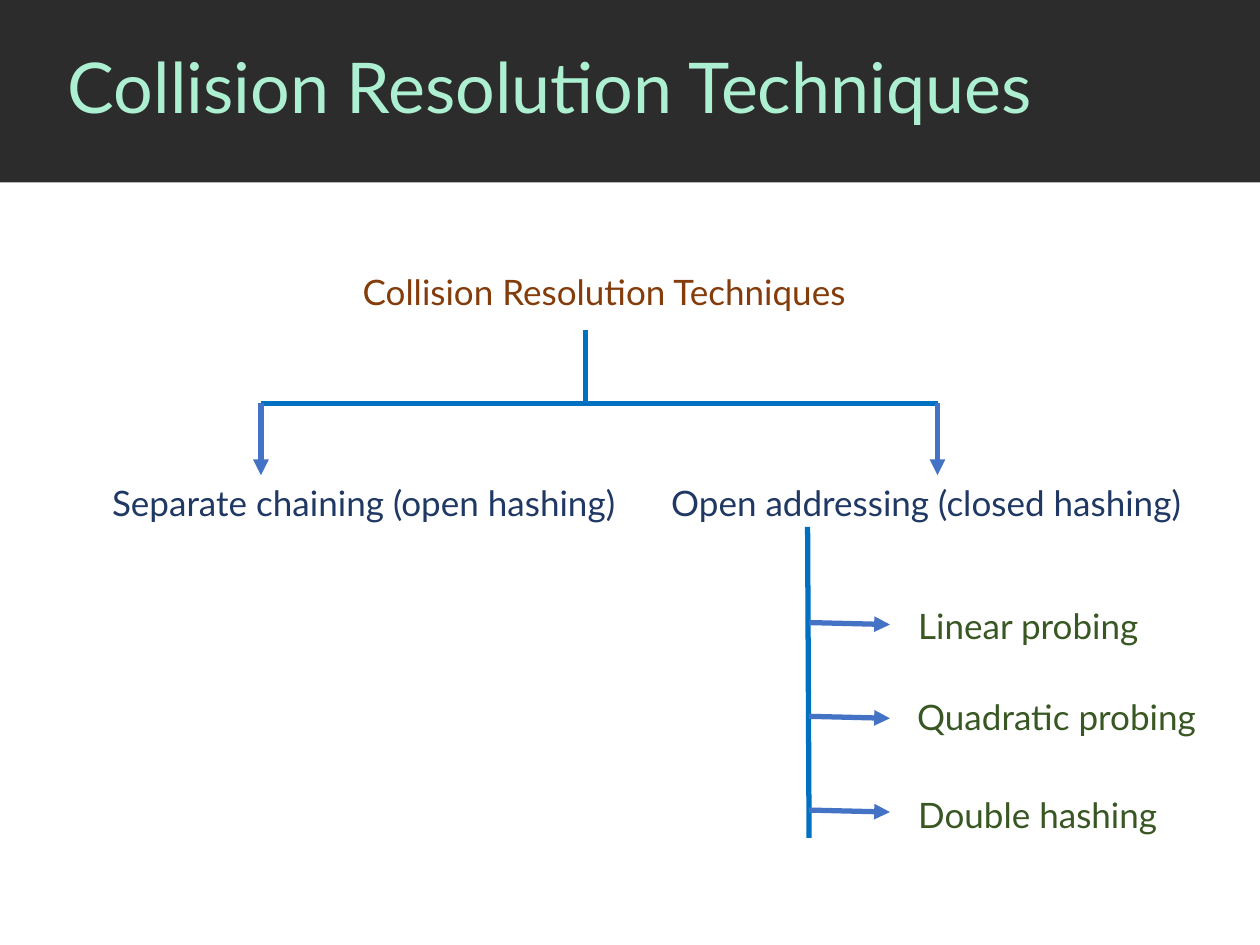
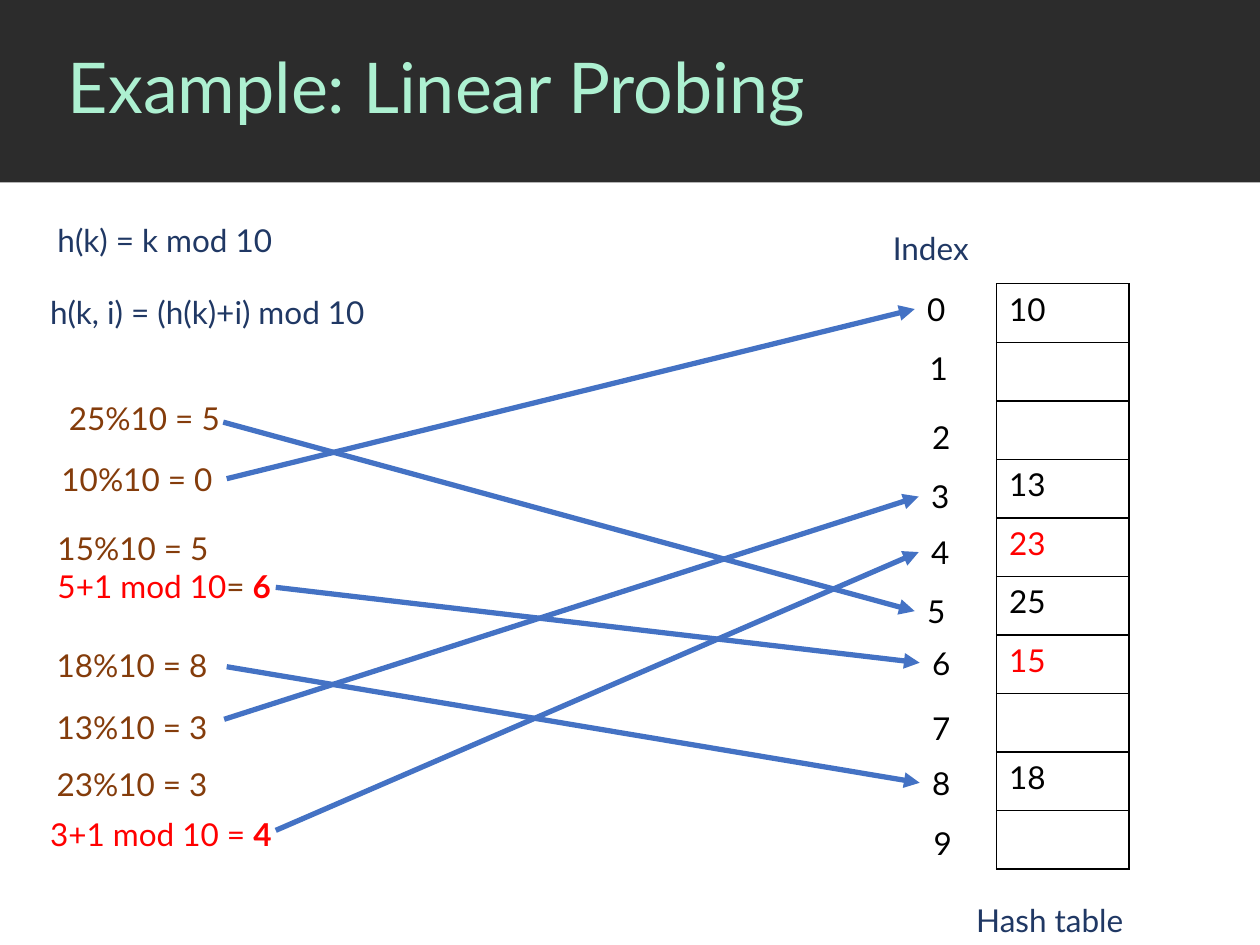
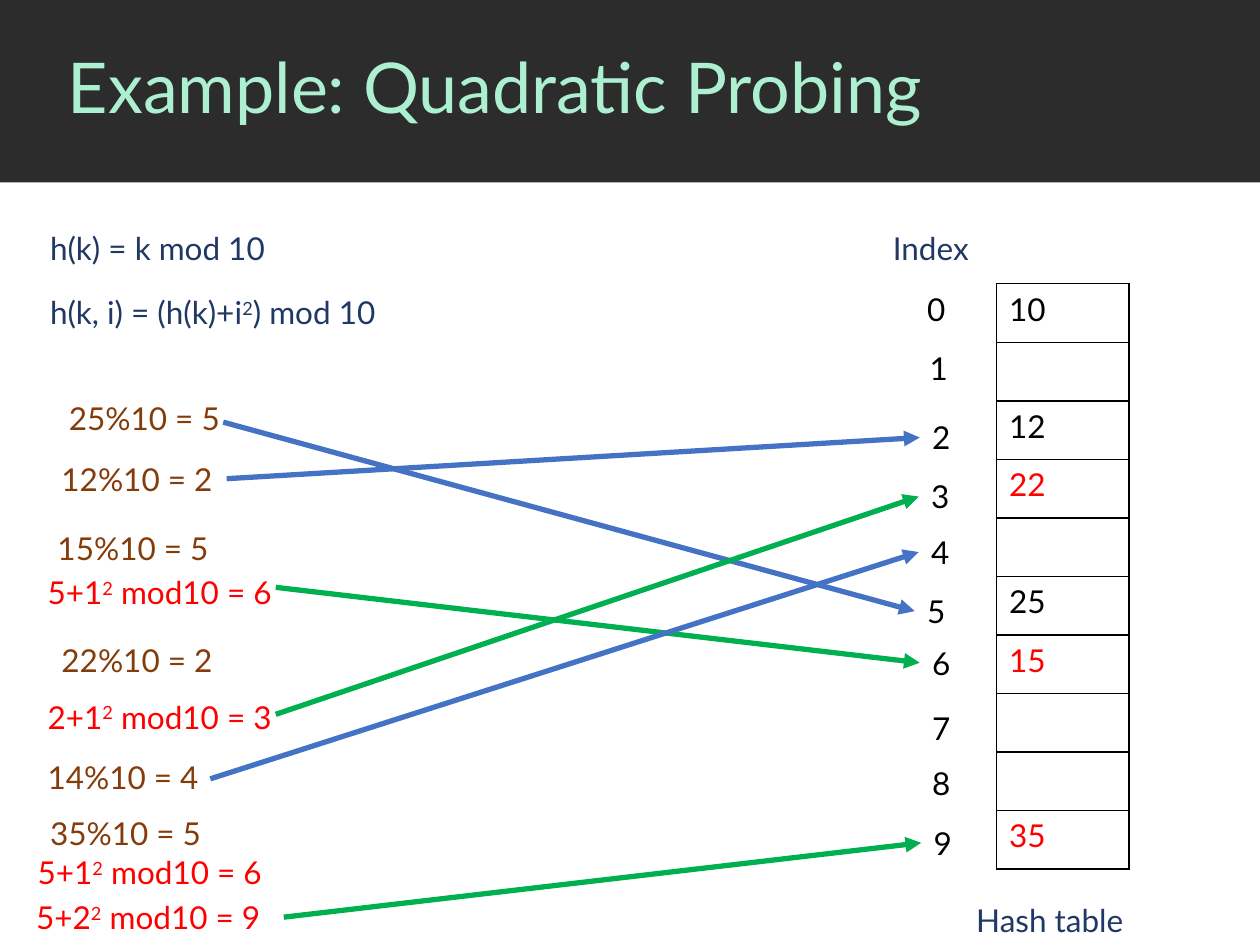
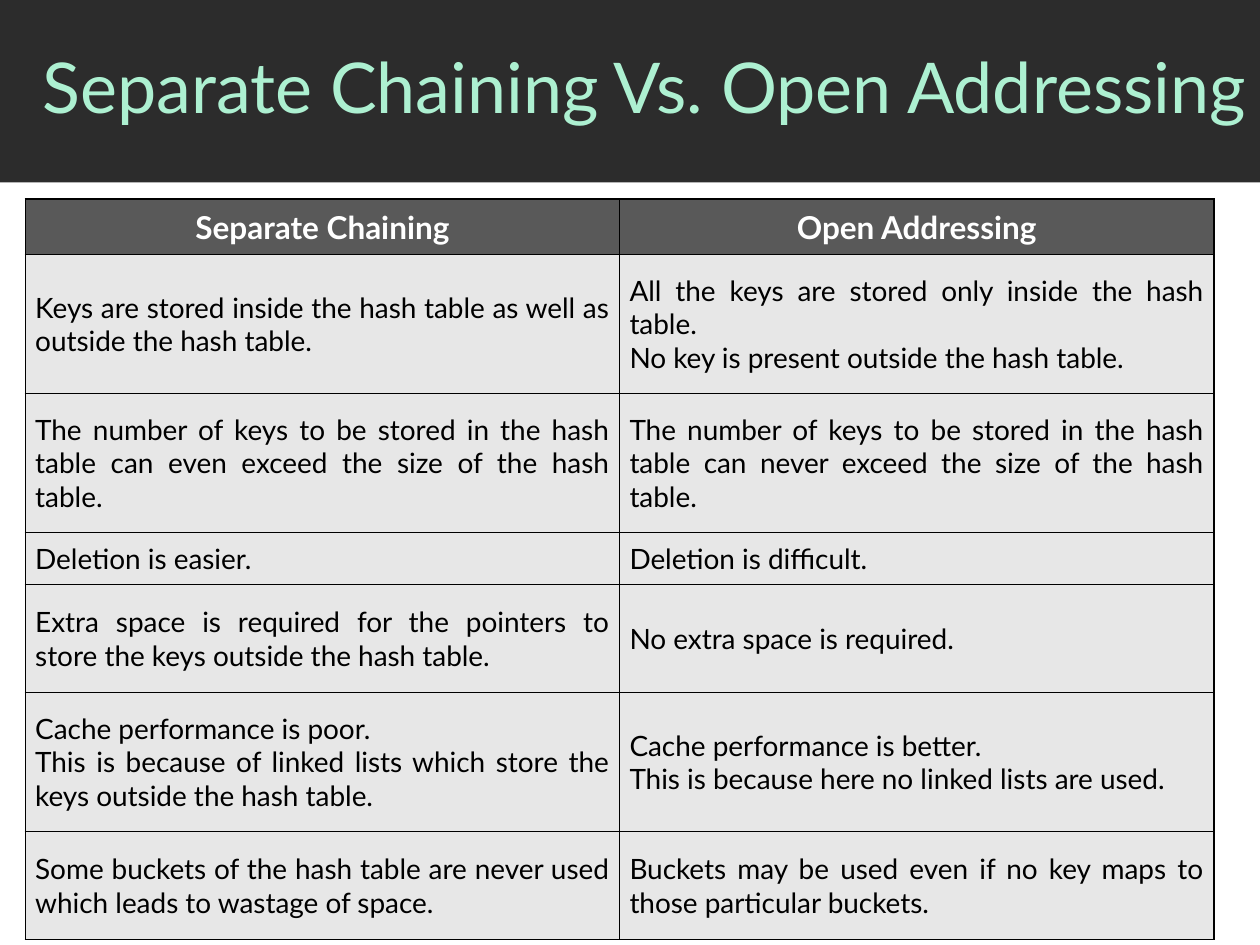
from dataclasses import dataclass
from typing import Optional, Union

import pptx
import pptx.dml.color
import pptx.enum.shapes
import pptx.enum.text
import pptx.oxml.ns
import pptx.slide
import pptx.table
import pptx.text.text
import pptx.util
from lxml import etree
from pptx.util import Cm

# Shared look
FONT = "Lato"
BAND, MINT = "2C2C2C", "ADF0D1"
NAVY, BROWN, LEAF = "203864", "843C0B", "385723"
BLUE, DEEP_BLUE, GREEN = "4472C4", "0070C0", "00B050"
RED, BLACK, WHITE = "FF0000", "000000", "FFFFFF"
HEADER_GREY, BODY_GREY = "595959", "E7E7E7"
SLIDE_W, SLIDE_H, BAND_H = 25.4, 19.05, 3.68

ALIGN = pptx.enum.text.PP_ALIGN
ANCHOR = pptx.enum.text.MSO_ANCHOR


@dataclass(frozen=True)
class Run:
    text: str
    color: Optional[str] = None
    bold: bool = False
    raised: bool = False


Paragraph = Union[str, tuple[Run, ...]]


@dataclass(frozen=True)
class Label:
    """A text box; lengths in cm."""
    x: float
    y: float
    width: float
    paragraphs: tuple[Paragraph, ...]
    color: str = BROWN
    size: int = 18


@dataclass(frozen=True)
class Line:
    """A straight line; lengths in cm."""
    x1: float
    y1: float
    x2: float
    y2: float
    color: str = BLUE
    arrow: bool = True


@dataclass(frozen=True)
class Probe:
    """An arrow from a calculation to a slot of the hash table."""
    x: float
    y: float
    slot: int
    color: str = BLUE


@dataclass(frozen=True)
class ProbingExample:
    title: str
    labels: tuple[Label, ...]
    probes: tuple[Probe, ...]
    keys: dict[int, str]
    moved_slots: tuple[int, ...]


def rgb(color: str) -> pptx.dml.color.RGBColor:
    return pptx.dml.color.RGBColor.from_string(color)


def squared(before: str, after: str) -> tuple[Run, ...]:
    return Run(before), Run("2", raised=True), Run(after)


# Drawing helpers
def write(tf: pptx.text.text.TextFrame, paragraphs: tuple[Paragraph, ...], size: int,
          color: str, bold: bool = False, align: Optional[ALIGN] = None) -> None:
    for i, content in enumerate(paragraphs):
        p = tf.paragraphs[0] if i == 0 else tf.add_paragraph()
        p.alignment = align
        p.font.name, p.font.size, p.font.bold = FONT, pptx.util.Pt(size), bold
        p.font.color.rgb = rgb(color)
        for part in (Run(content),) if isinstance(content, str) else content:
            r = p.add_run()
            r.text = part.text
            if part.color:
                r.font.color.rgb = rgb(part.color)
            if part.bold:
                r.font.bold = True
            if part.raised:
                r._r.get_or_add_rPr().set("baseline", "30000")


def draw_label(s: pptx.slide.Slide, label: Label) -> None:
    height = 0.24 + 0.043 * label.size * len(label.paragraphs)
    sp = s.shapes.add_textbox(Cm(label.x), Cm(label.y), Cm(label.width), Cm(height))
    tf = sp.text_frame
    tf.word_wrap = True
    tf.auto_size = pptx.enum.text.MSO_AUTO_SIZE.SHAPE_TO_FIT_TEXT
    write(tf, label.paragraphs, label.size, label.color)


def draw_line(s: pptx.slide.Slide, line: Line) -> None:
    sp = s.shapes.add_connector(pptx.enum.shapes.MSO_CONNECTOR.STRAIGHT,
                                Cm(line.x1), Cm(line.y1), Cm(line.x2), Cm(line.y2))
    sp.line.width = pptx.util.Pt(3)
    sp.line.color.rgb = rgb(line.color)
    if line.arrow:
        ln = sp.line._get_or_add_ln()
        etree.SubElement(ln, pptx.oxml.ns.qn("a:tailEnd"), type="triangle")
    etree.SubElement(sp._element.spPr, pptx.oxml.ns.qn("a:effectLst"))


def add_titled_slide(prs: pptx.presentation.Presentation, title: str,
                     left: float = 1.12) -> pptx.slide.Slide:
    s = prs.slides.add_slide(prs.slide_layouts[6])
    band = s.shapes.add_shape(pptx.enum.shapes.MSO_SHAPE.RECTANGLE,
                              0, 0, Cm(SLIDE_W), Cm(BAND_H))
    band.shadow.inherit = False
    band.fill.solid()
    band.fill.fore_color.rgb = rgb(BAND)
    band.line.fill.background()
    tf = s.shapes.add_textbox(Cm(left), 0, Cm(SLIDE_W - left), Cm(3.66)).text_frame
    tf.word_wrap = True
    tf.vertical_anchor = ANCHOR.MIDDLE
    write(tf, (title,), 40, MINT)
    tf.paragraphs[0].line_spacing = 0.9
    return s


def add_plain_table(s: pptx.slide.Slide, x: float, y: float, columns: list[float],
                    rows: list[float]) -> pptx.table.Table:
    """Add an unfilled table with black borders."""
    table = s.shapes.add_table(len(rows), len(columns), Cm(x), Cm(y),
                               Cm(sum(columns)), Cm(sum(rows))).table
    table.first_row = table.horz_banding = False
    for column, width in zip(table.columns, columns):
        column.width = Cm(width)
    for row, height in zip(table.rows, rows):
        row.height = Cm(height)
    for cell in table.iter_cells():
        tc_pr = cell._tc.get_or_add_tcPr()
        for side in ("lnL", "lnR", "lnT", "lnB"):
            ln = etree.SubElement(tc_pr, pptx.oxml.ns.qn(f"a:{side}"), w="12700")
            fill = etree.SubElement(ln, pptx.oxml.ns.qn("a:solidFill"))
            etree.SubElement(fill, pptx.oxml.ns.qn("a:srgbClr"), val=BLACK)
        cell.fill.background()
    return table


# Technique tree
TREE_LABELS = (
    Label(7.06, 5.33, 10.57, ("Collision Resolution Techniques",), BROWN, 20),
    Label(2.01, 9.58, 11.2, ("Separate chaining (open hashing)",), NAVY, 20),
    Label(13.28, 9.58, 11.35, ("Open addressing (closed hashing)",), NAVY, 20),
    Label(18.26, 12.07, 5.08, ("Linear probing",), LEAF, 20),
    Label(18.24, 13.89, 6.17, ("Quadratic probing",), LEAF, 20),
    Label(18.26, 15.88, 5.46, ("Double hashing",), LEAF, 20),
)
LEFT_BRANCH, RIGHT_BRANCH, BRANCH_Y = 5.26, 18.9, 8.13


def build_tree(prs: pptx.presentation.Presentation) -> None:
    s = add_titled_slide(prs, "Collision Resolution Techniques")
    for label in TREE_LABELS:
        draw_label(s, label)
    draw_line(s, Line(11.81, 6.65, 11.81, BRANCH_Y, DEEP_BLUE, arrow=False))
    draw_line(s, Line(LEFT_BRANCH, BRANCH_Y, RIGHT_BRANCH, BRANCH_Y, DEEP_BLUE, arrow=False))
    draw_line(s, Line(16.28, 10.62, 16.31, 16.89, DEEP_BLUE, arrow=False))
    for x in (LEFT_BRANCH, RIGHT_BRANCH):
        draw_line(s, Line(x, BRANCH_Y, x, 9.58))
    for i in range(3):
        y = 12.55 + 1.89 * i
        draw_line(s, Line(16.31, y, 17.94, y + 0.04))


# Probing examples: left and top of each index number
SLOTS = (
    (18.44, 5.72), (18.49, 6.91), (18.54, 8.31), (18.52, 9.5), (18.52, 10.62),
    (18.44, 11.81), (18.54, 12.85), (18.54, 14.17), (18.54, 15.27), (18.57, 16.48),
)
TABLE_LABELS = (
    Label(17.75, 4.5, 2.13, ("Index",), NAVY),
    Label(19.43, 18.03, 3.71, ("Hash table",), NAVY),
    Label(1.14, 7.92, 3.99, ("25%10 = 5",)),
)
LINEAR = ProbingExample(
    "Example: Linear Probing",
    labels=(
        Label(0.91, 4.34, 5.33, ("h(k) = k mod 10",), NAVY),
        Label(0.76, 5.79, 7.44, ("h(k, i) = (h(k)+i) mod 10",), NAVY),
        Label(0.99, 9.14, 3.61, ("10%10 = 0",)),
        Label(0.91, 10.54, 5.33, (
            "15%10 = 5",
            (Run("5+1 mod 10", RED), Run("= "), Run("6", RED, bold=True)))),
        Label(0.89, 12.9, 3.68, ("18%10 = 8",)),
        Label(0.89, 14.15, 3.71, ("13%10 = 3",)),
        Label(0.89, 15.29, 3.99, ("23%10 = 3",)),
        Label(0.76, 16.31, 5.33, ((Run("3+1 mod 10 = "), Run("4", bold=True)),), RED),
    ),
    probes=(
        Probe(4.5, 8.51, 5), Probe(4.57, 9.65, 0), Probe(5.56, 11.84, 6),
        Probe(4.57, 13.44, 8), Probe(4.52, 14.5, 3), Probe(5.56, 16.74, 4),
    ),
    keys={0: "10", 3: "13", 4: "23", 5: "25", 6: "15", 8: "18"},
    moved_slots=(4, 6),
)
QUADRATIC = ProbingExample(
    "Example: Quadratic Probing",
    labels=(
        Label(0.76, 4.5, 5.23, ("h(k) = k mod 10",), NAVY),
        Label(0.76, 5.79, 7.57, (squared("h(k, i) = (h(k)+i", ") mod 10"),), NAVY),
        Label(0.99, 9.14, 3.61, ("12%10 = 2",)),
        Label(0.91, 10.54, 3.68, ("15%10 = 5",)),
        Label(0.71, 11.43, 5.23, (squared("5+1", " mod10 = 6"),), RED),
        Label(0.99, 12.8, 3.68, ("22%10 = 2",)),
        Label(0.71, 13.94, 5.23, (squared("2+1", " mod10 = 3"),), RED),
        Label(0.71, 15.16, 3.71, ("14%10 = 4",)),
        Label(0.76, 16.28, 3.99, ("35%10 = 5",)),
        Label(0.51, 17.07, 5.23, (squared("5+1", " mod10 = 6"),), RED),
        Label(0.48, 17.98, 5.23, (squared("5+2", " mod10 = 9"),), RED),
    ),
    probes=(
        Probe(4.5, 8.51, 5), Probe(4.57, 9.65, 2), Probe(5.56, 11.84, 6, GREEN),
        Probe(5.56, 14.4, 3, GREEN), Probe(4.24, 15.7, 4), Probe(5.72, 18.49, 9, GREEN),
    ),
    keys={0: "10", 2: "12", 3: "22", 5: "25", 6: "15", 9: "35"},
    moved_slots=(3, 6, 9),
)


def build_probing(prs: pptx.presentation.Presentation, example: ProbingExample) -> None:
    s = add_titled_slide(prs, example.title)
    for slot, (x, y) in enumerate(SLOTS):
        draw_label(s, Label(x, y, 0.9, (str(slot),), BLACK))
    table = add_plain_table(s, 20.09, 5.72, [2.67], [1.18] * len(SLOTS))
    for slot, key in example.keys.items():
        color = RED if slot in example.moved_slots else BLACK
        write(table.cell(slot, 0).text_frame, (key,), 18, color)
    for label in TABLE_LABELS + example.labels:
        draw_label(s, label)
    for probe in example.probes:
        x, y = SLOTS[probe.slot]
        draw_line(s, Line(probe.x, probe.y, x, y + 0.51, probe.color))


# Comparison table
COMPARISON: tuple[tuple[tuple[str, ...], tuple[str, ...]], ...] = (
    (("Separate Chaining",), ("Open Addressing",)),
    (("Keys are stored inside the hash table as well as outside the hash table.",),
     ("All the keys are stored only inside the hash table.",
      "No key is present outside the hash table.")),
    (("The number of keys to be stored in the hash table can even exceed "
      "the size of the hash table.",),
     ("The number of keys to be stored in the hash table can never exceed "
      "the size of the hash table.",)),
    (("Deletion is easier.",), ("Deletion is difficult.",)),
    (("Extra space is required for the pointers to store the keys outside the hash table.",),
     ("No extra space is required.",)),
    (("Cache performance is poor.",
      "This is because of linked lists which store the keys outside the hash table."),
     ("Cache performance is better.",
      "This is because here no linked lists are used.")),
    (("Some buckets of the hash table are never used which leads to wastage of space.",),
     ("Buckets may be used even if no key maps to those particular buckets.",)),
)
COMPARISON_HEIGHTS = [1.1, 2.8, 2.8, 1.05, 2.18, 2.8, 2.18]


def build_comparison(prs: pptx.presentation.Presentation) -> None:
    s = add_titled_slide(prs, "Separate Chaining Vs. Open Addressing", left=0.61)
    table = add_plain_table(s, 0.51, 4.01, [11.98] * 2, COMPARISON_HEIGHTS)
    for i, row in enumerate(COMPARISON):
        for j, paragraphs in enumerate(row):
            cell = table.cell(i, j)
            cell.vertical_anchor = ANCHOR.MIDDLE
            cell.margin_left = cell.margin_right = Cm(0.2)
            cell.margin_top = cell.margin_bottom = Cm(0.18)
            cell.fill.solid()
            cell.fill.fore_color.rgb = rgb(BODY_GREY if i else HEADER_GREY)
            if i == 0:
                write(cell.text_frame, paragraphs, 18, WHITE, True, ALIGN.CENTER)
            else:
                write(cell.text_frame, paragraphs, 16, BLACK, False, ALIGN.JUSTIFY)


def main() -> None:
    prs = pptx.Presentation()
    prs.slide_width, prs.slide_height = Cm(SLIDE_W), Cm(SLIDE_H)
    build_tree(prs)
    build_probing(prs, LINEAR)
    build_probing(prs, QUADRATIC)
    build_comparison(prs)
    prs.save("out.pptx")


if __name__ == "__main__":
    main()
